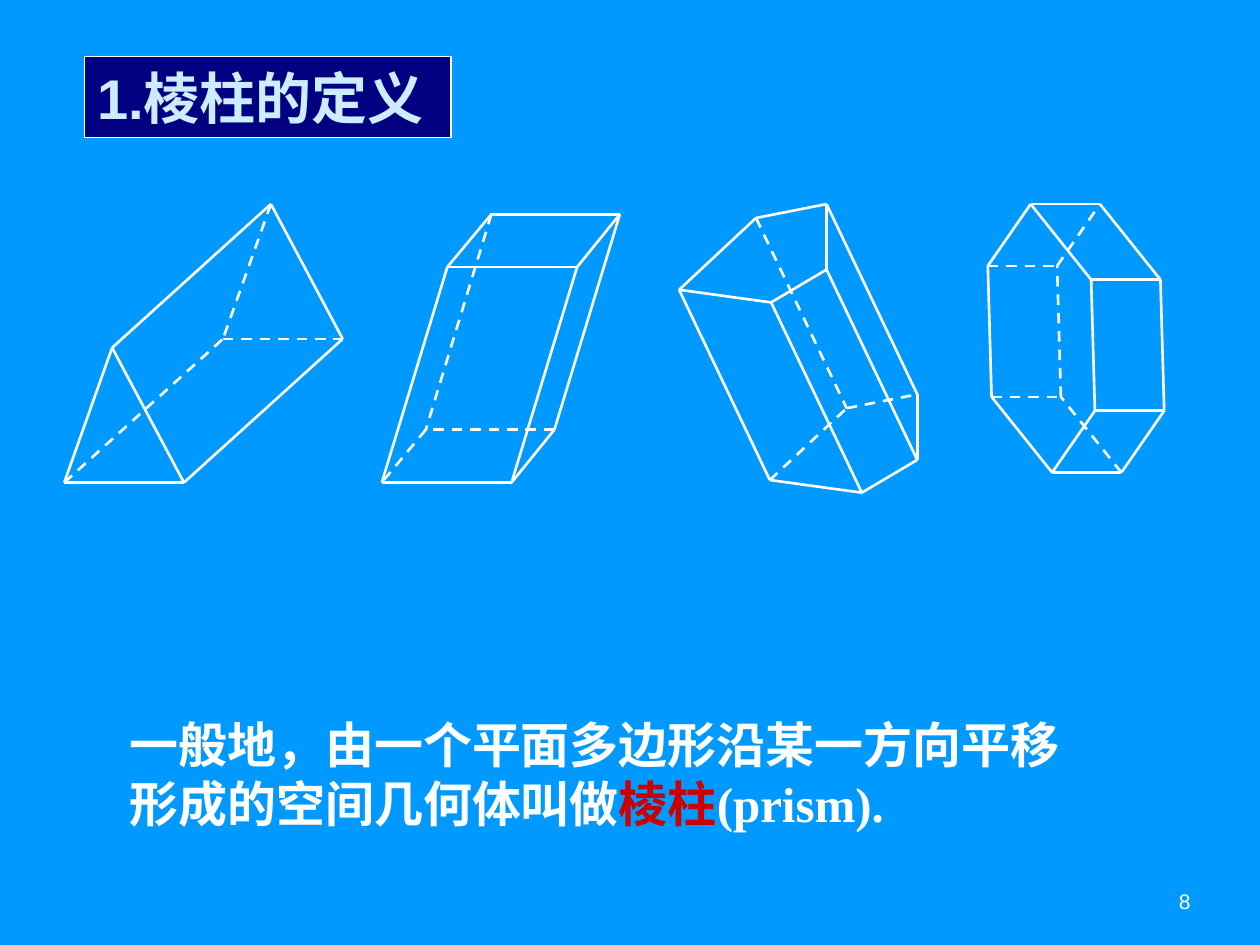
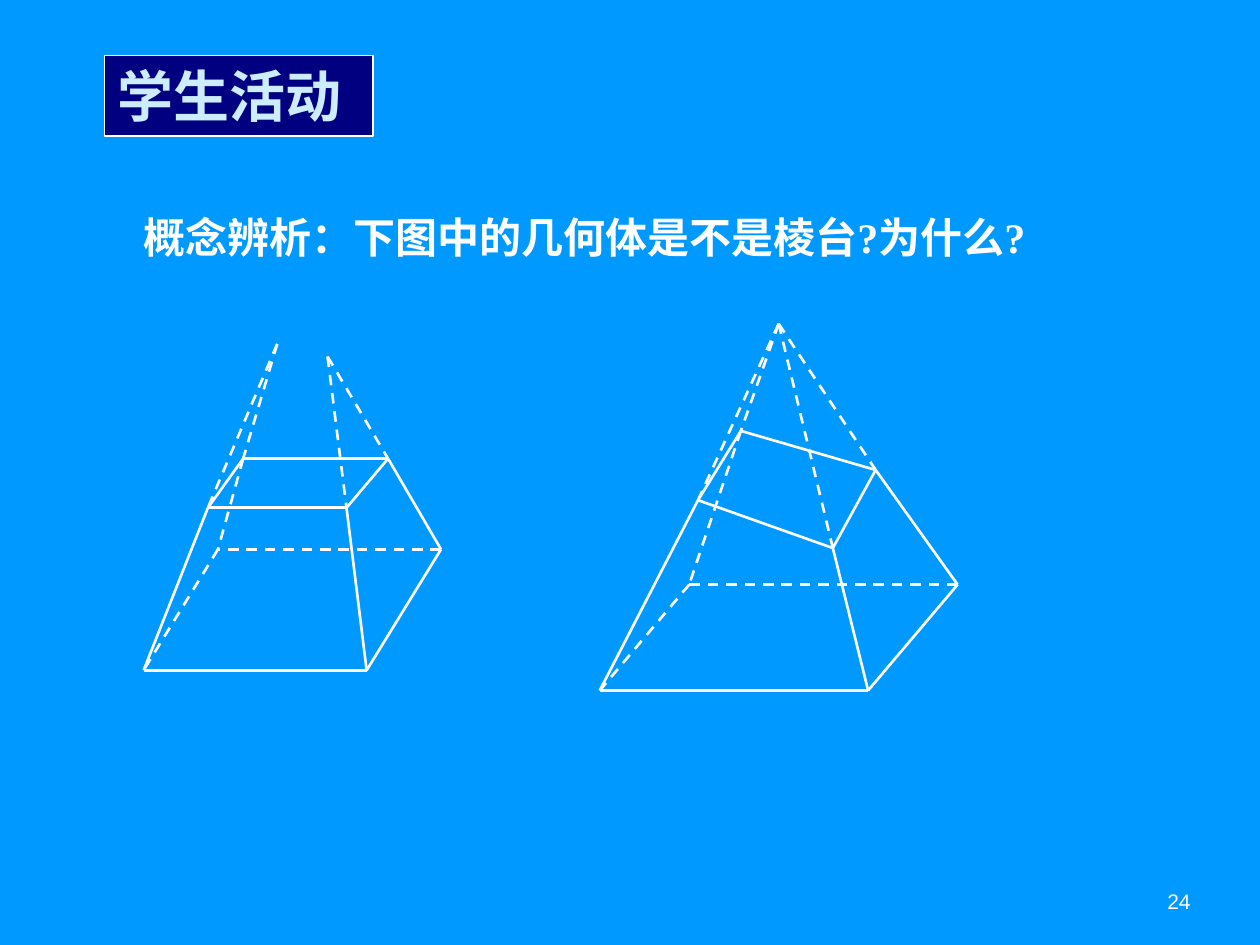
from lxml import etree
from pptx import Presentation
from pptx import util as u
from pptx.dml.color import RGBColor
from pptx.enum import dml, shapes, text
from pptx.oxml.ns import qn

SKY, NAVY, ICE, WHITE, RED = "0099FF", "000080", "CCECFF", "FFFFFF", "CC0000"
SANS, SERIF = "Arial", "Times New Roman"
TITLE_ONLY = 5


def color(value):
    """Turn a hex string into a colour."""
    return RGBColor.from_string(value)


def place(sp, box):
    """Move and size a shape to a box in inches."""
    sp.left, sp.top, sp.width, sp.height = map(u.Inches, box)


def add_run(p, content, size=12, font=SANS, fill=WHITE, bold=False):
    """Append a formatted run to a paragraph."""
    r = p.add_run()
    r.text = content
    r.font.size, r.font.name, r.font.bold = u.Pt(size), font, bold
    r.font.color.rgb = color(fill)


def write(tf, lines, align=text.PP_ALIGN.LEFT, anchor=text.MSO_ANCHOR.TOP,
          inset=0.1, **style):
    """Fill a frame with lines, each a list of (text, overrides) runs."""
    tf.word_wrap = True
    tf.auto_size = text.MSO_AUTO_SIZE.NONE
    tf.vertical_anchor = anchor
    tf.margin_left = tf.margin_right = u.Inches(inset)
    tf.margin_top = tf.margin_bottom = u.Inches(0.05)
    for i, line in enumerate(lines):
        p = tf.add_paragraph() if i else tf.paragraphs[0]
        p.alignment = align
        for content, overrides in line:
            add_run(p, content, **{**style, **overrides})


def add_text(s, box, lines, **style):
    """Add a text box with formatted lines."""
    tb = s.shapes.add_textbox(*map(u.Inches, box))
    write(tb.text_frame, lines, **style)


def add_page(prs, title, title_box, number):
    """Add a slide with its title band and page number."""
    s = prs.slides.add_slide(prs.slide_layouts[TITLE_ONLY])
    sp = s.shapes.title
    place(sp, title_box)
    sp.fill.solid()
    sp.fill.fore_color.rgb = color(NAVY)
    sp.line.color.rgb = color(WHITE)
    sp.line.width = u.Pt(0.75)
    write(sp.text_frame, [[(title, {})]], size=32, fill=ICE, bold=True)
    add_text(s, (7.17, 6.95, 2.33, 0.4), [[(str(number), {})]], inset=0.05,
             align=text.PP_ALIGN.RIGHT, anchor=text.MSO_ANCHOR.MIDDLE)
    return s


def add_edge(group, start, end, dashed=False):
    """Draw one edge of a solid."""
    ends = [u.Inches(v) for v in (*start, *end)]
    line = group.shapes.add_connector(shapes.MSO_CONNECTOR.STRAIGHT, *ends)
    line.line.color.rgb = color(WHITE)
    line.line.width = u.Pt(1.5)
    if dashed:
        line.line.dash_style = dml.MSO_LINE.DASH
    etree.SubElement(line._element.spPr, qn("a:effectLst"))


def shift(points, dx, dy):
    """Translate a list of points."""
    return [(x + dx, y + dy) for x, y in points]


def draw_solid(s, near, far, hidden):
    """Join two polygons, dashing edges that meet a hidden far vertex."""
    group = s.shapes.add_group_shape()
    for i, (a, b) in enumerate(zip(near, far)):
        j = (i + 1) % len(near)
        add_edge(group, a, near[j])
        add_edge(group, b, far[j], i in hidden or j in hidden)
        add_edge(group, a, b, i in hidden)
    return group


def draw_prism(s, origin, base, sweep, hidden):
    """Draw a prism swept from a base polygon placed at an origin."""
    near = shift(base, *origin)
    draw_solid(s, near, shift(near, *sweep), hidden)


def draw_cut_solid(s, origin, top, base, apexes):
    """Draw a cut solid with its side edges extended to the apexes."""
    top, base, apexes = (shift(pts, *origin) for pts in (top, base, apexes))
    group = draw_solid(s, top, base, {3})
    for corner, apex in zip(top, apexes):
        add_edge(group, apex, corner, dashed=True)


def prism_slide(prs):
    """Build the slide that defines the prism."""
    s = add_page(prs, "1.棱柱的定义", (0.67, 0.45, 2.91, 0.64), 8)
    triangle = [(0, 2.21), (0.95, 2.21), (0.38, 1.14)]
    parallelogram = [(0.52, 0.42), (1.55, 0.42), (1.89, 0), (0.87, 0)]
    pentagon = [(0, 0.68), (0.61, 0.11), (1.17, 0), (1.17, 0.52), (0.73, 0.78)]
    hexagon = [(0.34, 0), (0.82, 0.6), (0.85, 1.64), (0.51, 2.13),
               (0.03, 1.53), (0, 0.49)]
    draw_prism(s, (0.51, 1.62), triangle, (1.26, -1.14), {0})
    draw_prism(s, (3.03, 1.7), parallelogram, (-0.52, 1.71), {3})
    draw_prism(s, (5.39, 1.62), pentagon, (0.72, 1.51), {1})
    draw_prism(s, (7.84, 1.62), hexagon, (0.55, 0), {4, 5})
    add_text(s, (0.93, 5.62, 8.09, 1.04), [
        [("一般地，由一个平面多边形沿某一方向平移", {})],
        [("形成的空间几何体叫做", {}), ("棱柱", {"fill": RED}),
         ("(prism).", {"font": SERIF})],
    ], size=28, bold=True)


def activity_slide(prs):
    """Build the slide that asks which solids are frustums."""
    s = add_page(prs, "学生活动", (0.83, 0.44, 2.13, 0.64), 24)
    serif = {"font": SERIF}
    add_text(s, (1.04, 1.63, 7.6, 0.5), [[
        ("概念辨析", {}), ("：", serif), ("下图中的几何体是不是棱台", {}),
        ("?", serif), ("为什么", {}), ("?", serif),
    ]], size=24, bold=True)
    left, right = (1.06, 0), (1.46, 0.1)
    draw_cut_solid(
        s, (1.14, 2.73),
        top=[(0.51, 1.3), (1.61, 1.3), (1.94, 0.91), (0.79, 0.91)],
        base=[(0, 2.59), (1.77, 2.59), (2.36, 1.63), (0.59, 1.63)],
        apexes=[left, right, right, left])
    draw_cut_solid(
        s, (4.76, 2.57),
        top=[(0.78, 1.4), (1.85, 1.78), (2.19, 1.16), (1.12, 0.85)],
        base=[(0, 2.91), (2.13, 2.91), (2.84, 2.07), (0.71, 2.07)],
        apexes=[(1.42, 0)] * 4)


def main():
    """Build and save the presentation."""
    prs = Presentation()
    prs.slide_width, prs.slide_height = u.Inches(10), u.Inches(7.5)
    bg = prs.slide_master.background.fill
    bg.solid()
    bg.fore_color.rgb = color(SKY)
    prism_slide(prs)
    activity_slide(prs)
    prs.save("out.pptx")


if __name__ == "__main__":
    main()
